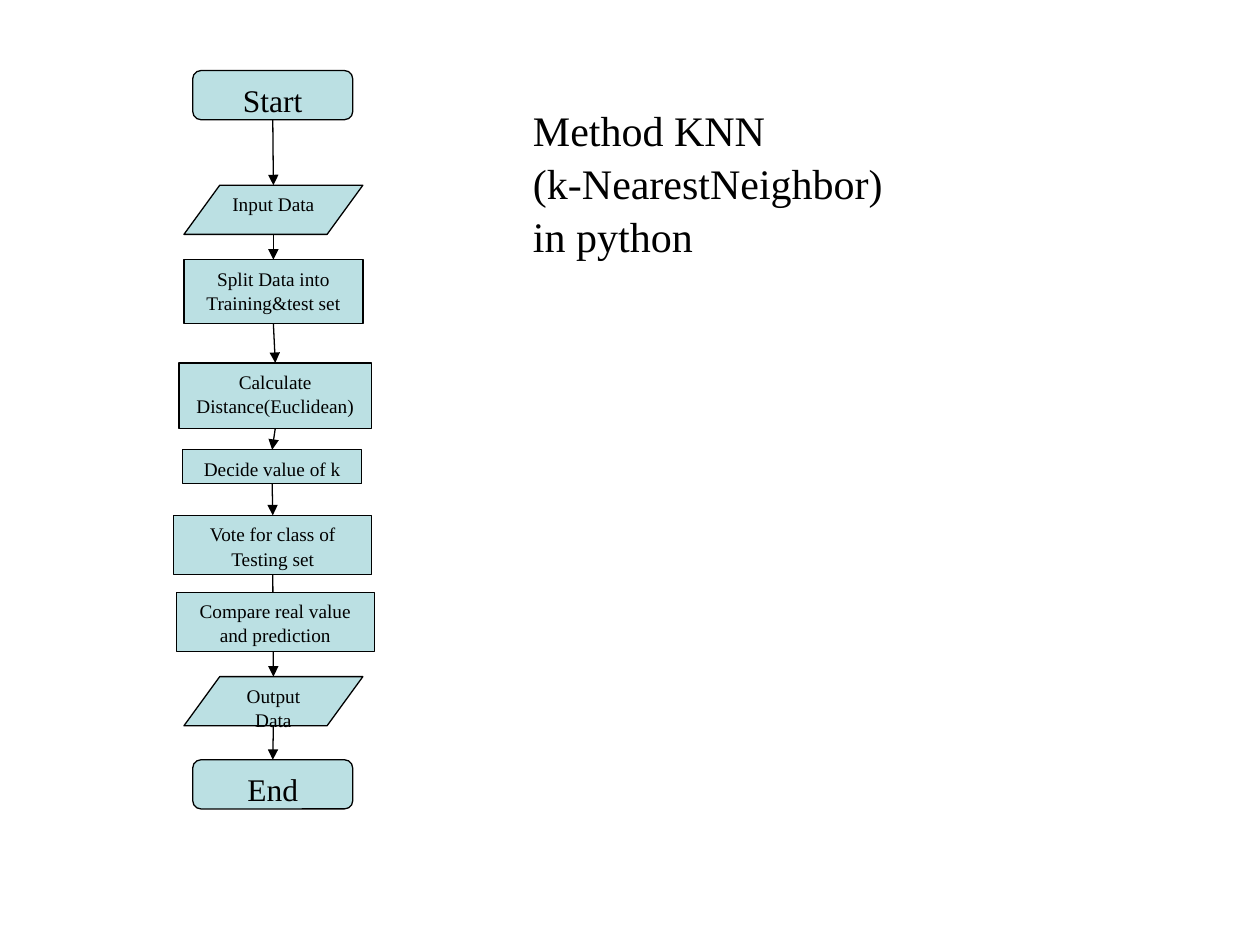
from dataclasses import dataclass

from lxml import etree
from pptx import Presentation
from pptx.dml.color import RGBColor
from pptx.enum.shapes import MSO_CONNECTOR, MSO_SHAPE
from pptx.enum.text import MSO_ANCHOR, MSO_AUTO_SIZE, PP_ALIGN
from pptx.oxml.ns import qn
from pptx.util import Inches, Pt

ROUND = MSO_SHAPE.ROUNDED_RECTANGLE
DATA = MSO_SHAPE.FLOWCHART_DATA
STEP = MSO_SHAPE.FLOWCHART_PROCESS
LINE = MSO_CONNECTOR.STRAIGHT
LEFT, MID = PP_ALIGN.LEFT, PP_ALIGN.CENTER
FRAME = {"word_wrap": True, "auto_size": MSO_AUTO_SIZE.NONE,
         "vertical_anchor": MSO_ANCHOR.TOP}


@dataclass(frozen=True)
class Theme:
    ink: RGBColor = RGBColor(0, 0, 0)
    fill: RGBColor = RGBColor(0xBB, 0xE0, 0xE3)
    font: str = "Times New Roman"
    head: int = 24
    cap: int = 18
    small: int = 11
    line: float = 0.75
    lead: float = 1.05


@dataclass(frozen=True)
class Node:
    text: str
    kind: int
    left: float
    top: float
    width: float
    height: float
    linked: bool = True  # False: the arrow runs on behind this box

    @property
    def mid(self) -> float:
        return self.left + self.width / 2

    @property
    def base(self) -> float:
        return self.top + self.height


THEME = Theme()
NODES = [
    Node("Start", ROUND, 1.53, 0.56, 1.27, 0.39),
    Node("Input Data", DATA, 1.46, 1.47, 1.42, 0.39),
    Node("Split Data into Training&test set", STEP, 1.46, 2.06, 1.42, 0.51),
    Node("Calculate Distance(Euclidean)", STEP, 1.42, 2.88, 1.53, 0.52),
    Node("Decide value of k", STEP, 1.45, 3.57, 1.42, 0.27),
    Node("Vote for class of\nTesting set", STEP, 1.38, 4.09, 1.57, 0.47),
    Node("Compare real value and prediction", STEP, 1.4, 4.7, 1.57, 0.47, False),
    Node("Output Data", DATA, 1.46, 5.37, 1.42, 0.39),
    Node("End", ROUND, 1.53, 6.03, 1.27, 0.39),
]


def put(obj, values: dict) -> None:
    for name, value in values.items():
        setattr(obj, name, value)


def write(shape, text: str, size: int, align) -> None:
    frame = shape.text_frame
    put(frame, FRAME)
    frame.text = text
    for para in frame.paragraphs:
        put(para, {"alignment": align, "line_spacing": THEME.lead})
        for run in para.runs:
            put(run.font, {"name": THEME.font, "size": Pt(size)})
            run.font.color.rgb = THEME.ink


def stroke(line) -> None:
    line.color.rgb = THEME.ink
    line.width = Pt(THEME.line)


def draw_node(slide, node: Node) -> None:
    box = slide.shapes.add_shape(
        node.kind, Inches(node.left), Inches(node.top),
        Inches(node.width), Inches(node.height))
    box.shadow.inherit = False
    box.fill.solid()
    box.fill.fore_color.rgb = THEME.fill
    stroke(box.line)
    write(box, node.text, THEME.cap if node.kind == ROUND else THEME.small, MID)


def draw_arrow(slide, start: Node, end: Node) -> None:
    link = slide.shapes.add_connector(
        LINE, Inches(start.mid), Inches(start.base),
        Inches(end.mid), Inches(end.top))
    stroke(link.line)
    props = link._element.spPr
    etree.SubElement(props.find(qn("a:ln")), qn("a:tailEnd"), type="triangle")
    etree.SubElement(props, qn("a:effectLst"))


def main() -> None:
    deck = Presentation()
    put(deck, {"slide_width": Inches(10), "slide_height": Inches(7.5)})
    slide = deck.slides.add_slide(deck.slide_layouts[5])

    # Title
    title = slide.shapes.title
    put(title, {"left": Inches(4.13), "top": Inches(0.76),
                "width": Inches(4.11), "height": Inches(1.72)})
    write(title, "Method KNN\n(k-NearestNeighbor)\nin python", THEME.head, LEFT)

    # Arrows first, so that boxes lie over them
    chain = [node for node in NODES if node.linked]
    for start, end in zip(chain, chain[1:]):
        draw_arrow(slide, start, end)

    # Flow chart boxes
    for node in NODES:
        draw_node(slide, node)

    deck.save("out.pptx")


if __name__ == "__main__":
    main()
